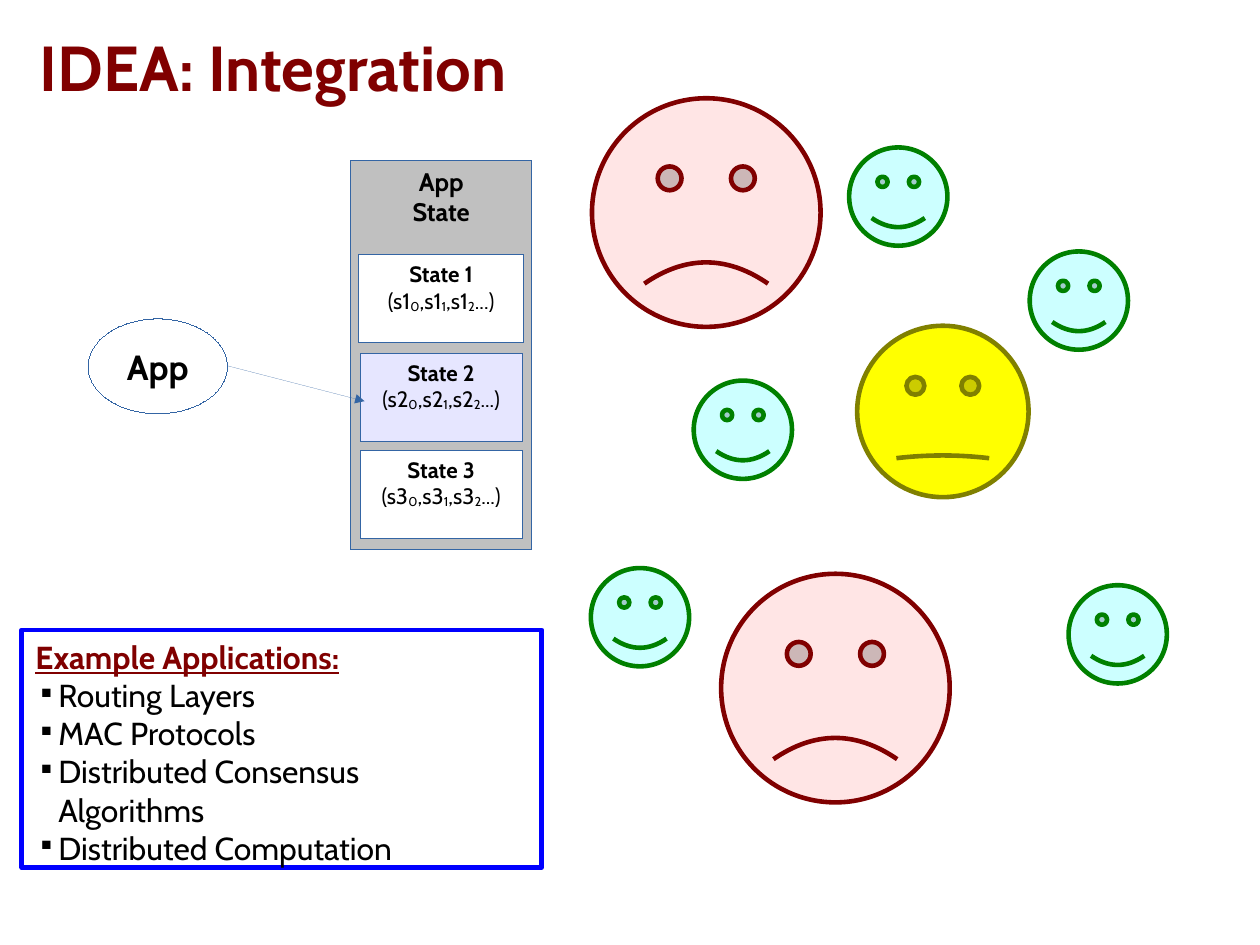
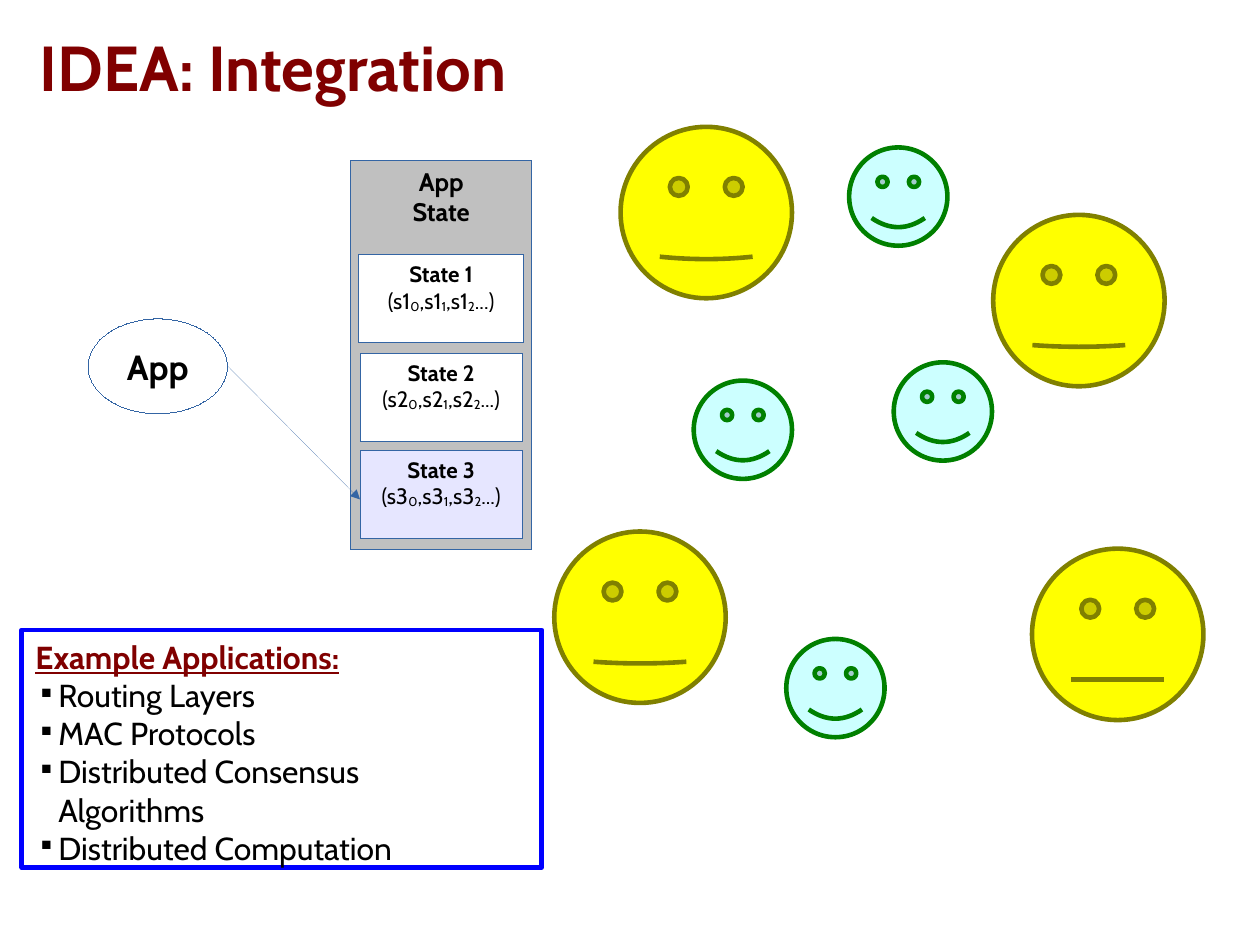
from dataclasses import dataclass

from pptx import Presentation
from pptx.dml.color import RGBColor
from pptx.enum.shapes import MSO_CONNECTOR, MSO_SHAPE
from pptx.enum.text import MSO_ANCHOR, PP_ALIGN
from pptx.oxml.ns import qn
from pptx.util import Emu, Pt
from lxml.etree import SubElement

RECT, OVAL, FACE = MSO_SHAPE.RECTANGLE, MSO_SHAPE.OVAL, MSO_SHAPE.SMILEY_FACE
STRAIGHT = MSO_CONNECTOR.STRAIGHT
TOP, MIDDLE = MSO_ANCHOR.TOP, MSO_ANCHOR.MIDDLE
LEFT, CENTER = PP_ALIGN.LEFT, PP_ALIGN.CENTER
PX = 9144
SLIDE_WIDTH, SLIDE_HEIGHT = Emu(10080625), Emu(7559675)


@dataclass(frozen=True)
class Theme:
    font: str = "Cabin"
    text: str = "000000"
    accent: str = "800000"
    outline: str = "3465A4"
    panel: str = "C0C0C0"
    plain: str = "FFFFFF"
    active: str = "E6E6FF"
    frame: str = "0000FF"
    title_size: int = 40
    app_size: int = 22
    list_size: int = 20
    panel_size: int = 16
    state_size: int = 14
    hairline: float = 0
    thick: float = 2.89


THEME = Theme()
MOODS = {
    "happy": (86, "CCFFFF", "008000", 0.047),
    "uneasy": (150, "FFFF00", "808000", 0.005),
    "upset": (200, "FFE5E5", "800000", -0.047),
}
NODES = {
    "north": (618, 186), "north_east": (786, 172), "center": (825, 360),
    "west": (650, 376), "south": (731, 602), "south_east": (978, 555),
    "east": (944, 263), "south_west": (560, 540),
}
STATE_BOUNDS = ((314, 223, 144, 77), (315, 309, 142, 77), (315, 394, 142, 77))
APPLICATIONS = (
    "Routing Layers", "MAC Protocols",
    "Distributed Consensus\nAlgorithms", "Distributed Computation",
)
STAGES = (
    {"active": 2, "arrow_end": (319, 351),
     "moods": {"north": "upset", "south": "upset", "center": "uneasy"},
     "smiles": {"center": -0.008}},
    {"active": 3, "arrow_end": (315, 437),
     "moods": dict.fromkeys(("north", "south_east", "east", "south_west"), "uneasy"),
     "smiles": {"north": 0.007, "south_east": 0}},
)


def write(frame, text, *, size, color=THEME.text, bold=False, underline=False,
          align=CENTER, bullet=None):
    """Add a paragraph; "_" lowers the next character and a newline breaks the line."""
    paragraph = frame.add_paragraph() if frame.text else frame.paragraphs[0]
    paragraph.alignment = align
    for number, line in enumerate(text.split("\n")):
        if number:
            paragraph.add_line_break()
        start, *rest = line.split("_")
        pieces = [(start, 0)]
        for part in rest:
            pieces += [(part[0], -8000), (part[1:], 0)]
        for piece, baseline in pieces:
            run = paragraph.add_run()
            run.text = piece
            run.font.name, run.font.size = THEME.font, Pt(size)
            run.font.bold, run.font.underline = bold, underline
            run.font.color.rgb = RGBColor.from_string(color)
            if baseline:
                run.font._element.set("baseline", str(baseline))
    if bullet:
        properties = paragraph._p.get_or_add_pPr()
        properties.set("marL", str(20 * PX))
        properties.set("indent", str(-15 * PX))
        bullet_color = SubElement(properties, qn("a:buClr"))
        SubElement(bullet_color, qn("a:srgbClr"), val=color)
        SubElement(properties, qn("a:buSzPct"), val="45000")
        SubElement(properties, qn("a:buChar"), char=bullet)


class Deck:
    """Hold the presentation and the slide being drawn."""

    def __init__(self):
        self.presentation = Presentation()
        self.presentation.slide_width = SLIDE_WIDTH
        self.presentation.slide_height = SLIDE_HEIGHT
        self.slide = None

    def new_slide(self, title):
        self.slide = self.presentation.slides.add_slide(
            self.presentation.slide_layouts[6])
        heading = self.slide.shapes.add_textbox(
            *(length * PX for length in (35, 0, 1067, 115)))
        frame = self.set_frame(heading, MIDDLE, 0, 0)
        write(frame, title, size=THEME.title_size, color=THEME.accent,
              bold=True, align=LEFT)

    def set_frame(self, holder, anchor, side, edge):
        frame = holder.text_frame
        frame.word_wrap, frame.vertical_anchor = True, anchor
        frame.margin_left = frame.margin_right = side * PX
        frame.margin_top = frame.margin_bottom = edge * PX
        return frame

    def set_line(self, drawn, color, width):
        drawn.line.color.rgb = RGBColor.from_string(color)
        outline = drawn.line._get_or_add_ln()
        outline.set("w", str(int(Pt(width))))
        return outline

    def shape(self, preset, bounds, fill, line=THEME.outline, width=THEME.hairline):
        drawn = self.slide.shapes.add_shape(preset, *(length * PX for length in bounds))
        drawn.shadow.inherit = False
        if fill:
            drawn.fill.solid()
            drawn.fill.fore_color.rgb = RGBColor.from_string(fill)
        else:
            drawn.fill.background()
        self.set_line(drawn, line, width)
        return drawn

    def box(self, preset, bounds, fill, anchor=TOP):
        return self.set_frame(self.shape(preset, bounds, fill), anchor, 10, 5)

    def arrow(self, start, end):
        link = self.slide.shapes.add_connector(
            STRAIGHT, *(length * PX for length in (*start, *end)))
        outline = self.set_line(link, THEME.outline, THEME.hairline)
        SubElement(outline, qn("a:tailEnd"), type="triangle")
        SubElement(link._element.spPr, qn("a:effectLst"))

    def face(self, center, mood, smile=None):
        size, fill, line, usual_smile = MOODS[mood]
        left, top = (middle - size // 2 for middle in center)
        face = self.shape(FACE, (left, top, size, size), fill, line, THEME.thick)
        face.adjustments[0] = usual_smile if smile is None else smile

    def app_states(self, active, arrow_end):
        panel = self.box(RECT, (307, 140, 158, 341), THEME.panel)
        for word in ("App", "State"):
            write(panel, word, size=THEME.panel_size, bold=True)
        for state, bounds in enumerate(STATE_BOUNDS, start=1):
            fill = THEME.active if state == active else THEME.plain
            frame = self.box(RECT, bounds, fill)
            write(frame, f"State {state}", size=THEME.state_size, bold=True)
            values = ",".join(f"s{state}_{index}" for index in range(3))
            write(frame, f"({values}...)", size=THEME.state_size)
        app = self.box(OVAL, (77, 279, 122, 83), THEME.plain, MIDDLE)
        write(app, "App", size=THEME.app_size, bold=True)
        self.arrow((199, 320), arrow_end)

    def examples(self, heading, items):
        border = self.shape(RECT, (19, 551, 455, 208), None, THEME.frame, THEME.thick)
        frame = self.set_frame(border, TOP, 12, 7)
        write(frame, heading, size=THEME.list_size, color=THEME.accent,
              bold=True, underline=True, align=LEFT)
        for item in items:
            write(frame, item, size=THEME.list_size, align=LEFT, bullet="■")


def main():
    deck = Deck()
    for stage in STAGES:
        deck.new_slide("IDEA: Integration")
        deck.app_states(stage["active"], stage["arrow_end"])
        for node, center in NODES.items():
            deck.face(center, stage["moods"].get(node, "happy"),
                      stage["smiles"].get(node))
        deck.examples("Example Applications:", APPLICATIONS)
    deck.presentation.save("out.pptx")


if __name__ == "__main__":
    main()
